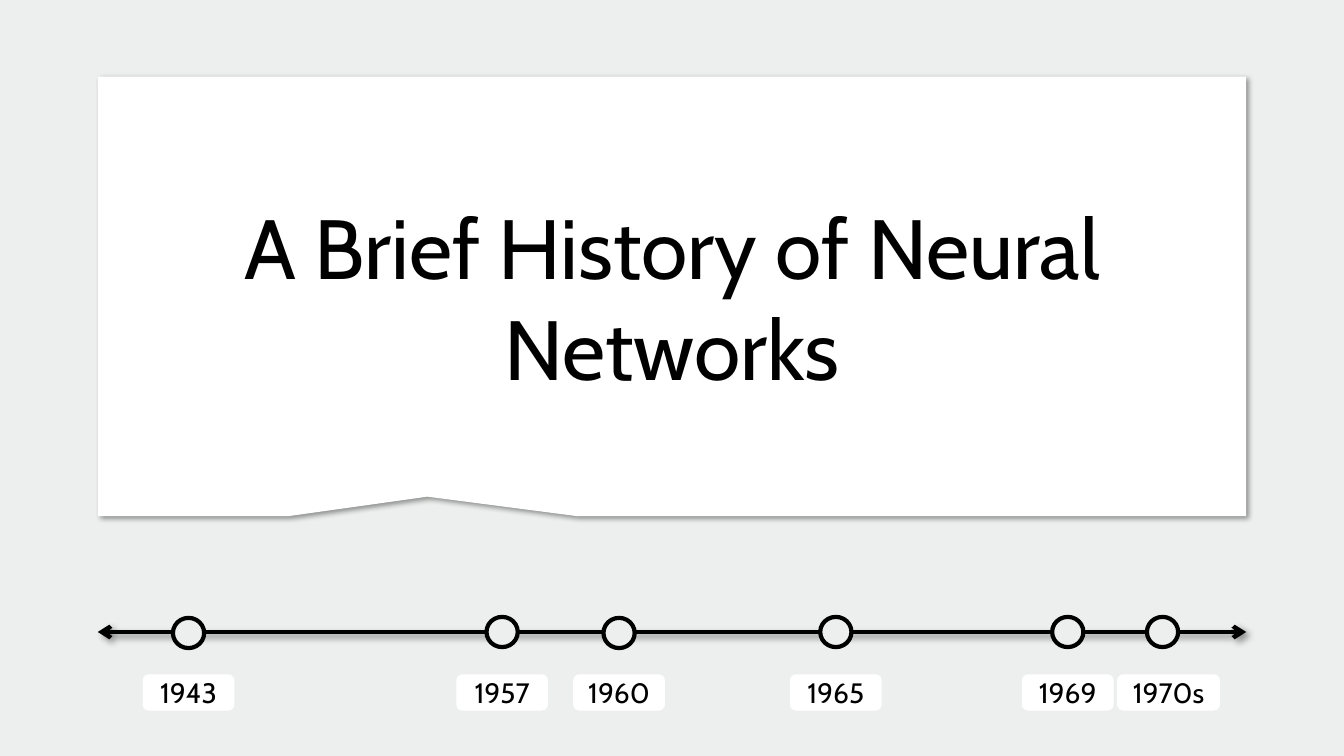
from pptx import Presentation
from pptx.dml.color import RGBColor
from pptx.enum.shapes import MSO_CONNECTOR, MSO_SHAPE
from pptx.enum.text import MSO_ANCHOR, MSO_AUTO_SIZE, PP_ALIGN
from pptx.oxml import parse_xml
from pptx.oxml.ns import nsdecls
from pptx.util import Inches, Pt

COLORS = {"back": "ECEFED", "ink": "000000", "card": "FFFFFF"}
# Year, centre of its mark, mark top, centre and width of its label
EVENTS = [
    ("1943", 1.87, 6.13, 1.87, 0.91),
    ("1957", 4.98, 6.12, 4.98, 0.91),
    ("1960", 6.14, 6.13, 6.14, 0.91),
    ("1965", 8.29, 6.12, 8.29, 0.91),
    ("1969", 10.59, 6.12, 10.59, 0.91),
    ("1970s", 11.53, 6.12, 11.59, 1.02),
]
LEFT, RIGHT = 0.97, 12.36


def color(name):
    return RGBColor.from_string(COLORS[name])


def add_shadow(shape):
    """Replace the theme shadow with a soft one to the lower right."""
    props = shape._element.spPr
    for old in props.findall("{*}effectLst"):
        props.remove(old)
    props.append(parse_xml(
        f'<a:effectLst {nsdecls("a")}>'
        f'<a:outerShdw blurRad="{Pt(4)}" dist="{Pt(3)}" dir="2700000" '
        'algn="tl" rotWithShape="0">'
        f'<a:srgbClr val="{COLORS["ink"]}"><a:alpha val="40000"/></a:srgbClr>'
        '</a:outerShdw></a:effectLst>'))


class Board:
    font = "Cabin"

    def __init__(self, slide):
        self.slide = slide
        fill = slide.background.fill
        fill.solid()
        fill.fore_color.rgb = color("back")

    def shape(self, kind, box, fill, line=None):
        shape = self.slide.shapes.add_shape(kind, *map(Inches, box))
        shape.shadow.inherit = False
        shape.fill.solid()
        shape.fill.fore_color.rgb = color(fill)
        if line:
            shape.line.color.rgb = color("ink")
            shape.line.width = Pt(line)
        else:
            shape.line.fill.background()
        return shape

    def text(self, shape, words, size, wrap):
        frame = shape.text_frame
        frame.text = words
        frame.word_wrap = wrap
        frame.auto_size = MSO_AUTO_SIZE.NONE
        frame.vertical_anchor = MSO_ANCHOR.MIDDLE
        para = frame.paragraphs[0]
        para.alignment = PP_ALIGN.CENTER
        para.font.name = self.font
        para.font.size = Pt(size)
        para.font.color.rgb = color("ink")

    def axis(self, left, right, y):
        ends = map(Inches, (left, y, right, y))
        axis = self.slide.shapes.add_connector(MSO_CONNECTOR.STRAIGHT, *ends)
        axis.line.color.rgb = color("ink")
        axis.line.width = Pt(3)
        line = axis._element.spPr.find("{*}ln")
        for end in ("headEnd", "tailEnd"):
            line.append(parse_xml(f'<a:{end} {nsdecls("a")} type="arrow"/>'))
        add_shadow(axis)

    def mark(self, x, top):
        self.shape(MSO_SHAPE.OVAL, (x - 0.155, top, 0.31, 0.3), "back", 3)

    def label(self, words, x, width):
        box = (x - width / 2, 6.69, width, 0.36)
        label = self.shape(MSO_SHAPE.ROUNDED_RECTANGLE, box, "card")
        self.text(label, words, 20, False)

    def title(self, words, box):
        card = self.shape(MSO_SHAPE.RECTANGULAR_CALLOUT, box, "card")
        card.adjustments[0] = -0.213
        card.adjustments[1] = 0.456
        add_shadow(card)
        title = self.slide.shapes.title
        title.left, title.top, title.width, title.height = map(Inches, box)
        self.text(title, words, 60, True)
        # Bring the title in front of its card
        card._element.addnext(title._element)


def main():
    deck = Presentation()
    deck.slide_width, deck.slide_height = Inches(13.33), Inches(7.5)
    board = Board(deck.slides.add_slide(deck.slide_layouts[5]))
    board.axis(LEFT, RIGHT, 6.27)
    for year, x, top, middle, width in EVENTS:
        board.mark(x, top)
        board.label(year, middle, width)
    board.title("A Brief History of Neural Networks",
                (LEFT, 0.76, RIGHT - LEFT, 4.36))
    deck.save("out.pptx")


if __name__ == "__main__":
    main()
